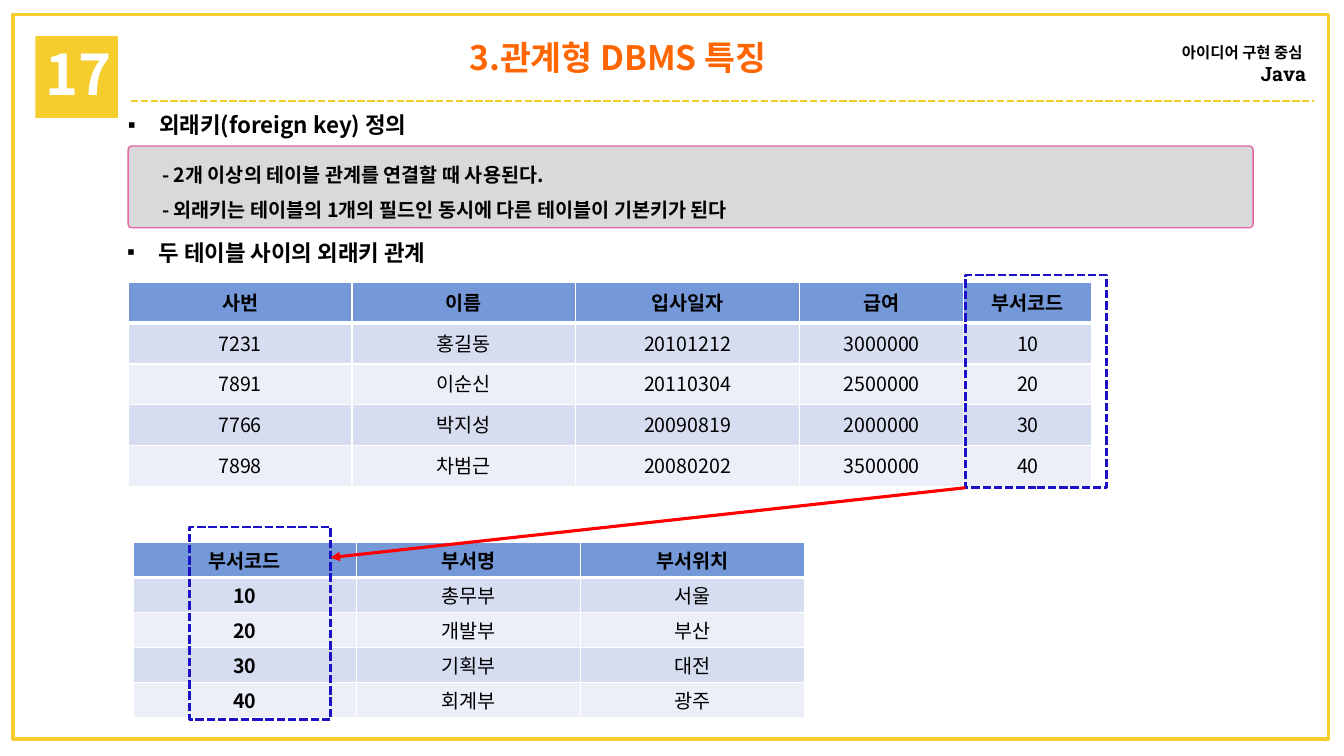
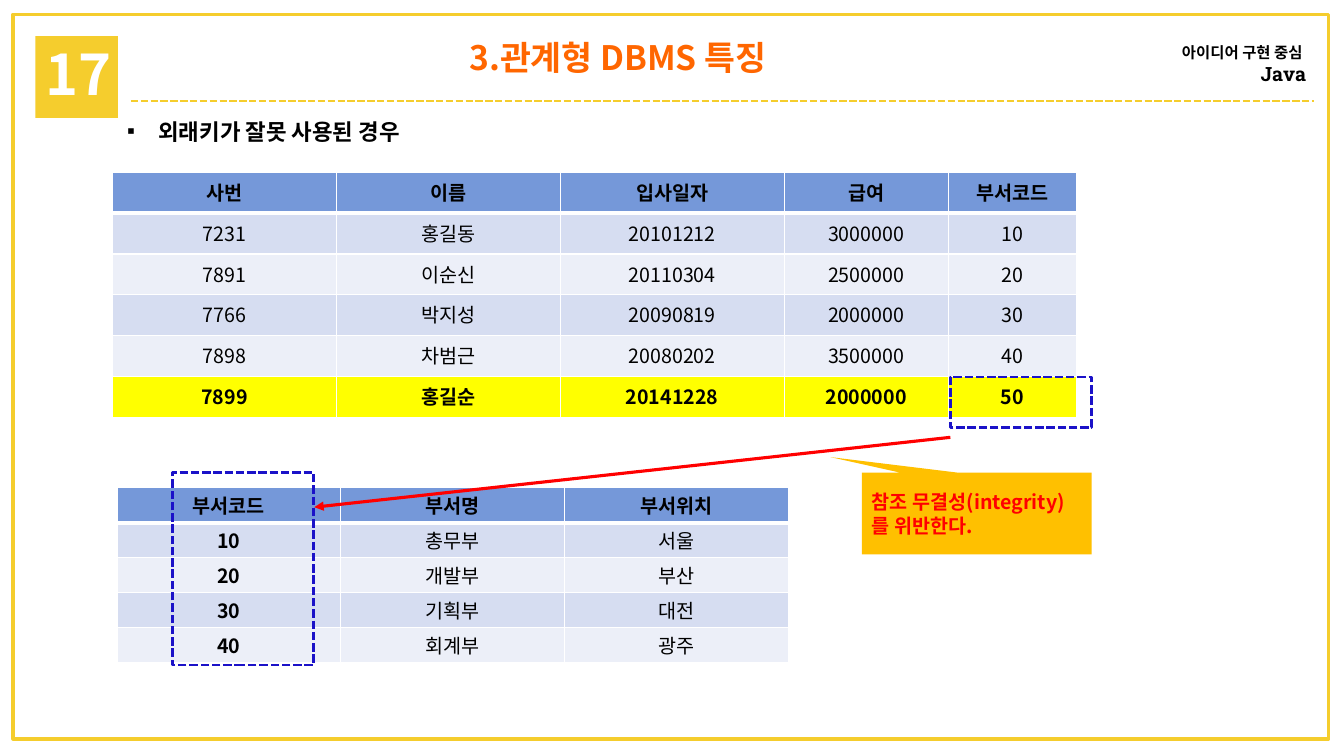
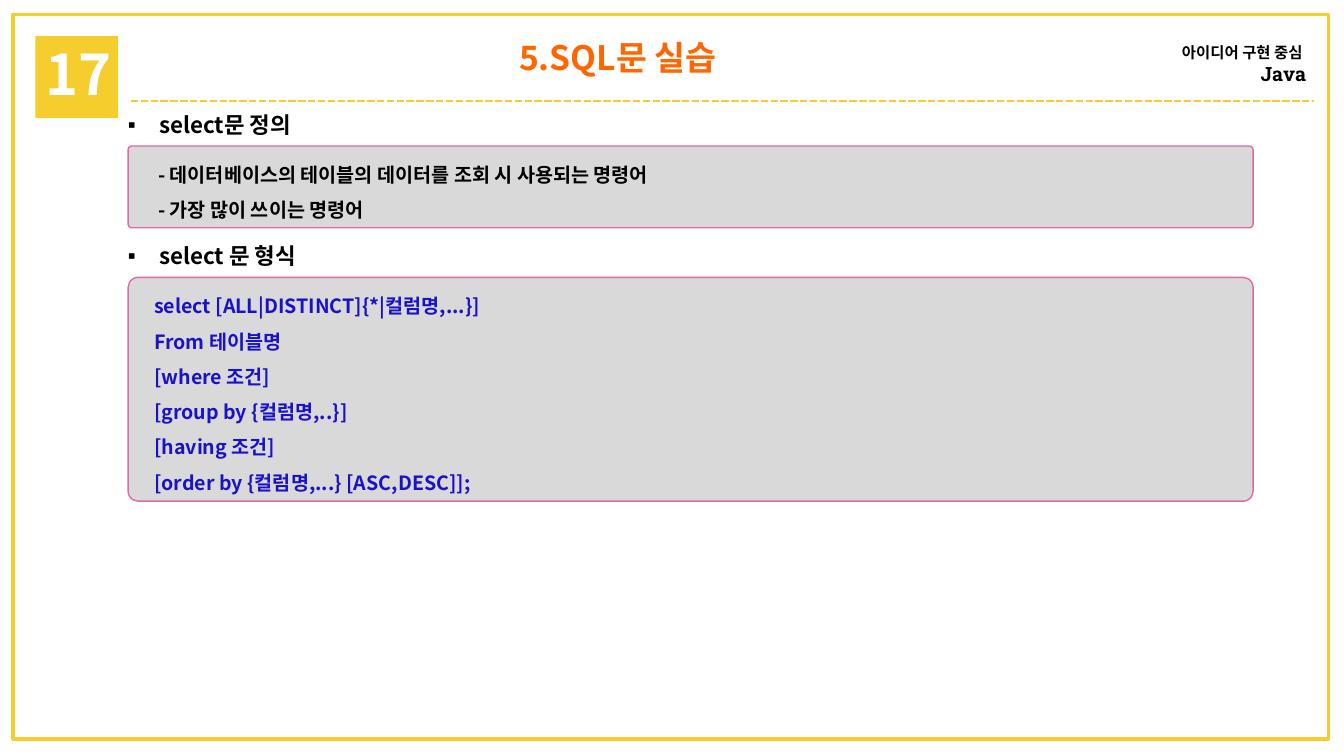
"""Build three slides on foreign keys and the select statement."""
from lxml import etree
from pptx import Presentation
from pptx.dml.color import RGBColor
from pptx.enum.dml import MSO_LINE
from pptx.enum.shapes import MSO_CONNECTOR, MSO_SHAPE
from pptx.enum.text import MSO_ANCHOR, MSO_AUTO_SIZE, PP_ALIGN
from pptx.oxml.ns import qn
from pptx.util import Cm, Pt

LEFT, MID, RIGHT = PP_ALIGN.LEFT, PP_ALIGN.CENTER, PP_ALIGN.RIGHT
TOP, CENTER = MSO_ANCHOR.TOP, MSO_ANCHOR.MIDDLE
FIXED = MSO_AUTO_SIZE.NONE
RECT, ROUND = MSO_SHAPE.RECTANGLE, MSO_SHAPE.ROUNDED_RECTANGLE
CALLOUT = MSO_SHAPE.RECTANGULAR_CALLOUT
LINE = MSO_CONNECTOR.STRAIGHT
DASH = MSO_LINE.SQUARE_DOT
SANS, SLAB = "Noto Sans CJK KR", "Roboto Slab"
GOLD, ORANGE, AMBER, YELLOW = "F5CD2D", "FF6600", "FFC000", "FFFF00"
GREY, PINK, NAVY, RED = "D9D9D9", "E367A5", "1B12C8", "FF0000"
HEAD, DARK, PALE = "7598D9", "D6DDF1", "ECEFF8"
BLACK, WHITE = "000000", "FFFFFF"

hue = RGBColor.from_string


def write(frame, lines, size, tint=BLACK, bold=True, face=SANS,
          align=LEFT, space=1, inset=0, mark=None):
    """Add one paragraph per line to a text frame."""
    frame.word_wrap = True
    frame.auto_size = FIXED
    frame.vertical_anchor = TOP
    for line in lines:
        para = frame.paragraphs[0]
        if para.runs:
            para = frame.add_paragraph()
        para.alignment = align
        para.line_spacing = space
        para.space_before = Pt(0)
        props = para._p.get_or_add_pPr()
        props.set("marL", str(Cm(inset)))
        props.set("indent", str(Cm(-inset if mark else 0)))
        if mark:
            etree.SubElement(props, qn("a:buChar")).set("char", mark)
        else:
            etree.SubElement(props, qn("a:buNone"))
        run = para.add_run()
        run.text = line
        run.font.name = face
        run.font.size = Pt(size)
        run.font.bold = bold
        run.font.color.rgb = hue(tint)
        east = etree.SubElement(run._r.get_or_add_rPr(), qn("a:ea"))
        east.set("typeface", face)


def draw(slide, kind, box, fill=None, line=None, width=1, dash=None):
    """Add a flat shape, or a line when the kind is a connector."""
    box = [Cm(n) for n in box]
    if kind is LINE:
        item = slide.shapes.add_connector(kind, *box)
        etree.SubElement(item.element.spPr, qn("a:effectLst"))
    else:
        item = slide.shapes.add_shape(kind, *box)
        item.shadow.inherit = False
        if fill:
            item.fill.solid()
            item.fill.fore_color.rgb = hue(fill)
        else:
            item.fill.background()
    if line:
        item.line.color.rgb = hue(line)
        item.line.width = Pt(width)
        item.line.dash_style = dash
    else:
        item.line.fill.background()
    return item


staff = [
    ["사번", "이름", "입사일자", "급여", "부서코드"],
    ["7231", "홍길동", "20101212", "3000000", "10"],
    ["7891", "이순신", "20110304", "2500000", "20"],
    ["7766", "박지성", "20090819", "2000000", "30"],
    ["7898", "차범근", "20080202", "3500000", "40"],
]
wrong = ["7899", "홍길순", "20141228", "2000000", "50"]
depts = [
    ["부서코드", "부서명", "부서위치"],
    ["10", "총무부", "서울"],
    ["20", "개발부", "부산"],
    ["30", "기획부", "대전"],
    ["40", "회계부", "광주"],
]
wide, slim = [5.64, 5.64, 5.64, 4.14, 3.23], [5.64] * 3
query = [
    "select [ALL|DISTINCT]{*|컬럼명,...}]",
    "From 테이블명",
    "[where 조건]",
    "[group by {컬럼명,..}]",
    "[having 조건]",
    "[order by {컬럼명,...} [ASC,DESC]];",
]

pages = [
    {
        "title": "3.관계형 DBMS 특징",
        "heads": [(1, 2.97, 2.67, "외래키(foreign key) 정의"),
                  (3, 2.95, 5.89, "두 테이블 사이의 외래키 관계")],
        "notes": [(2, 3.68, 2.06, BLACK, 0.2,
                   ["- 2개 이상의 테이블 관계를 연결할 때 사용된다.",
                    "- 외래키는 테이블의 1개의 필드인 동시에 다른 테이블이 기본키가 된다"])],
        "grids": [(3.23, 7.11, wide, 1.03, staff, False),
                  (3.35, 13.67, slim, 0.88, depts, True)],
        "marks": [(24.33, 6.93, 3.56, 5.36), (4.78, 13.28, 3.56, 4.85)],
        "arrow": (24.33, 12.29, 8.33, 14.05),
    },
    {
        "title": "3.관계형 DBMS 특징",
        "heads": [(1, 2.95, 2.84, "외래키가 잘못 사용된 경우")],
        "grids": [(2.84, 4.34, wide, 1.03, staff + [wrong], False),
                  (2.95, 12.29, slim, 0.88, depts, True)],
        "marks": [(23.95, 9.5, 3.56, 1.27), (4.34, 11.91, 3.56, 4.85)],
        "arrow": (23.95, 11.02, 7.92, 12.78),
        "call": ["참조 무결성(integrity)", "를 위반한다."],
    },
    {
        "title": "5.SQL문 실습",
        "heads": [(1, 2.97, 2.67, "select문 정의"),
                  (3, 2.97, 5.97, "select 문 형식")],
        "notes": [(2, 3.68, 2.06, BLACK, 0.1,
                   ["- 데이터베이스의 테이블의 데이터를 조회 시 사용되는 명령어",
                    "- 가장 많이 쓰이는 명령어"]),
                  (4, 6.99, 5.64, NAVY, 0, query)],
    },
]

deck = Presentation()
deck.slide_width, deck.slide_height = Cm(33.87), Cm(19.05)
layout = deck.slide_layouts.get_by_name("Comparison")
slides = [deck.slides.add_slide(layout) for page in pages]

first = slides[0]
frame = draw(first, RECT, (0.33, 0.36, 33.15, 18.26), line=GOLD, width=2.5)
badge = draw(first, RECT, (0.89, 0.91, 2.08, 2.06), fill=GOLD)
rule = draw(first, LINE, (3.3, 2.54, 33.12, 2.54), line=GOLD, width=1.75, dash=DASH)
count = first.shapes.add_textbox(Cm(0.89), Cm(0.86), Cm(2.46), Cm(1.96))
write(count.text_frame, ["17"], 40, WHITE)
tag = first.shapes.add_textbox(Cm(28.17), Cm(0.97), Cm(5), Cm(1.45))
write(tag.text_frame, ["아이디어 구현 중심 "], 11, align=RIGHT)
write(tag.text_frame, ["Java"], 14, face=SLAB, align=RIGHT)
for item in (frame, badge, rule, count, tag):
    layout.shapes.element.append(item.element)

for slide, page in zip(slides, pages):
    holes = {hole.placeholder_format.idx: hole for hole in slide.placeholders}
    texts = [(0, (3.63, 0.81, 23.88, 1.27), [page["title"]],
              {"size": 24, "tint": ORANGE, "align": MID})]
    for idx, x, y, text in page["heads"]:
        texts.append((idx, (x, y, 14.4, 0.94), [text],
                      {"size": 16, "inset": 0.79, "mark": "▪"}))
    for idx, y, high, tint, inset, lines in page.get("notes", []):
        panel = draw(slide, ROUND, (3.23, y, 28.35, high), GREY, PINK)
        panel.adjustments[0] = 0.045
        slide.shapes.element.insert(2, panel.element)
        texts.append((idx, (3.63, y, 26.7, high), lines,
                      {"size": 14, "tint": tint, "space": 1.5, "inset": inset}))
    for idx, box, lines, style in texts:
        hole = holes.pop(idx)
        hole.left, hole.top, hole.width, hole.height = [Cm(n) for n in box]
        write(hole.text_frame, lines, **style)
    for hole in holes.values():
        hole.element.getparent().remove(hole.element)

    for x, y, cols, high, rows, keyed in page.get("grids", []):
        grid = slide.shapes.add_table(
            len(rows), len(cols), Cm(x), Cm(y),
            Cm(sum(cols)), Cm(high * len(rows))).table
        for col, width in zip(grid.columns, cols):
            col.width = Cm(width)
        for r, row in enumerate(rows):
            grid.rows[r].height = Cm(high)
            alert = row is wrong
            fill = YELLOW if alert else HEAD if r == 0 else DARK if r % 2 else PALE
            for c, text in enumerate(row):
                cell = grid.cell(r, c)
                cell.margin_top = cell.margin_bottom = Cm(0.08 if keyed else 0.13)
                bold = r == 0 or alert or (keyed and c == 0)
                write(cell.text_frame, [text], 14, bold=bold, align=MID)
                props = cell._tc.get_or_add_tcPr()
                for side in "LRTB":
                    thick = (side, r) in (("B", 0), ("T", 1))
                    edge = etree.SubElement(props, qn("a:ln" + side))
                    edge.set("w", str(Pt(3 if thick else 1)))
                    paint = etree.SubElement(edge, qn("a:solidFill"))
                    etree.SubElement(paint, qn("a:srgbClr")).set("val", WHITE)
                cell.fill.solid()
                cell.fill.fore_color.rgb = hue(fill)

    for box in page.get("marks", []):
        draw(slide, RECT, box, line=NAVY, width=2, dash=DASH)
    if "arrow" in page:
        arrow = draw(slide, LINE, page["arrow"], line=RED, width=2.25)
        tip = etree.SubElement(arrow.line._get_or_add_ln(), qn("a:tailEnd"))
        tip.set("type", "triangle")
    if "call" in page:
        call = draw(slide, CALLOUT, (21.72, 11.91, 5.79, 2.06), AMBER)
        call.adjustments[0], call.adjustments[1] = -0.637, -0.69
        write(call.text_frame, page["call"], 14, RED)
        call.text_frame.vertical_anchor = CENTER

deck.save("out.pptx")
